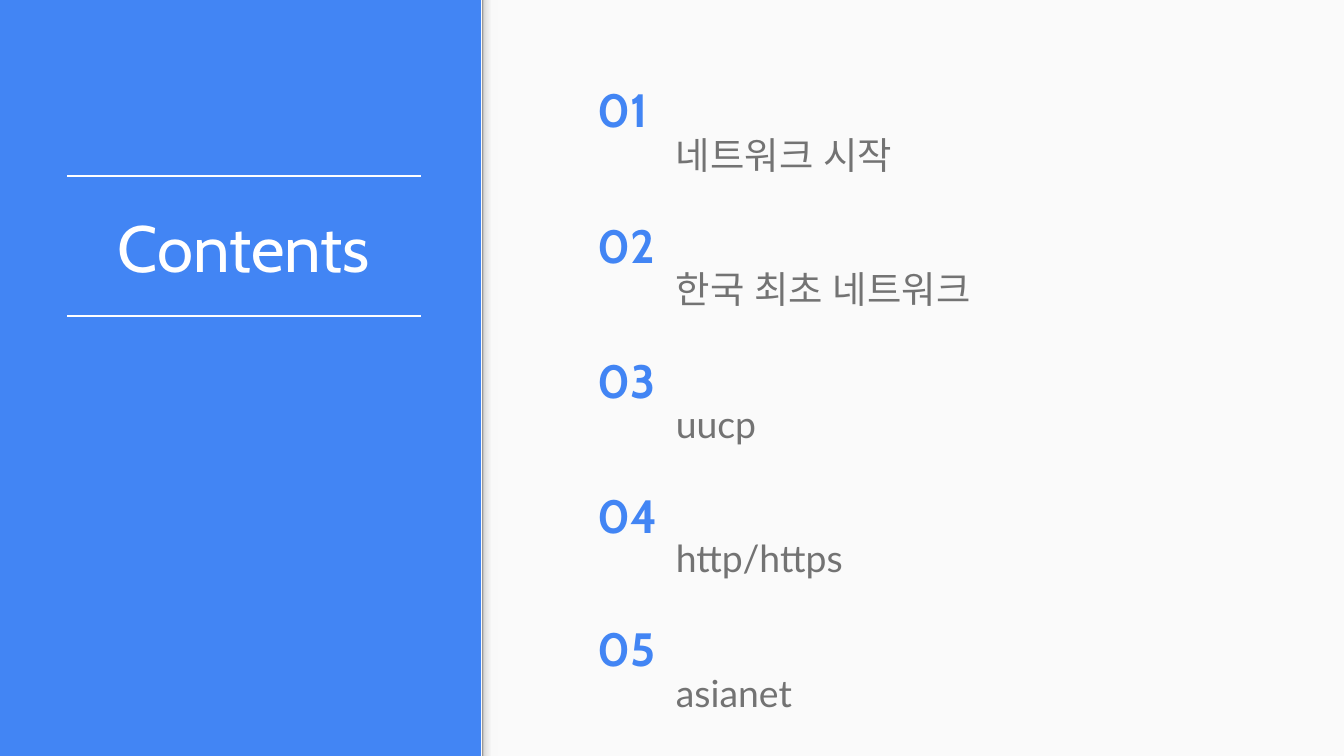
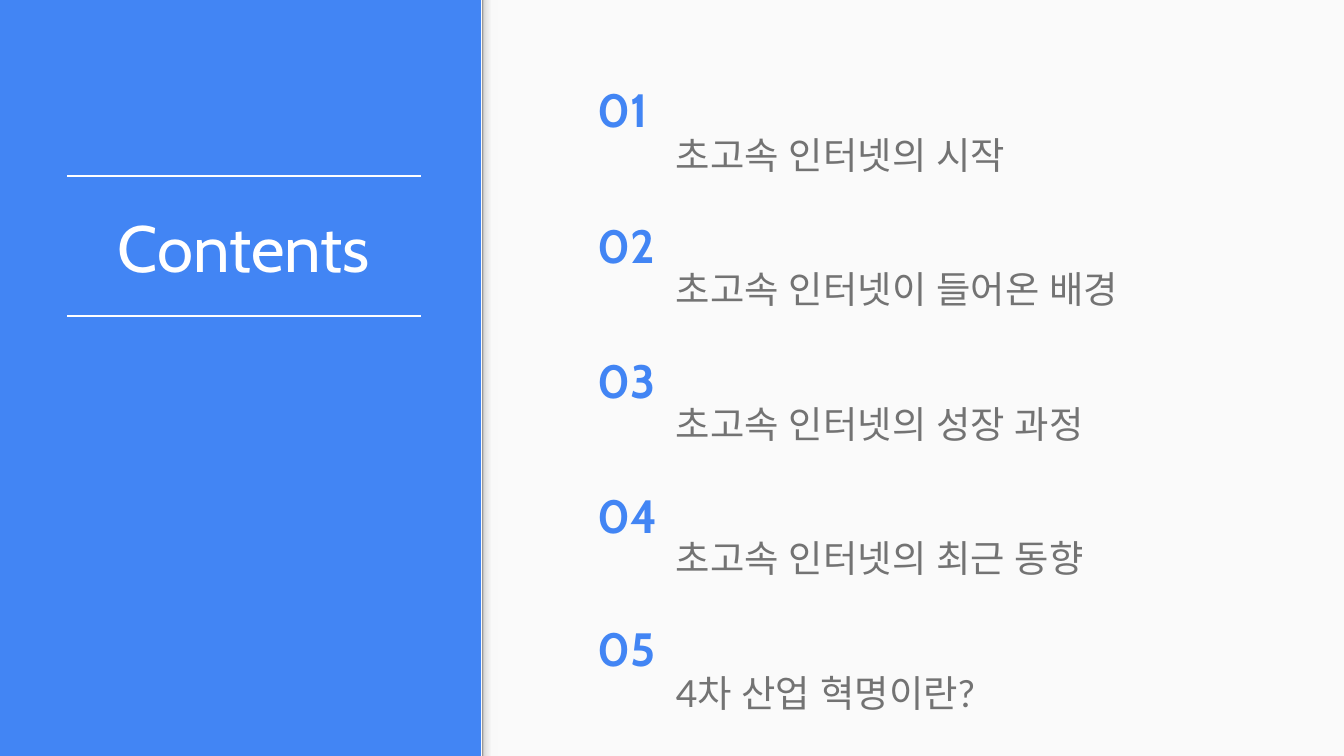
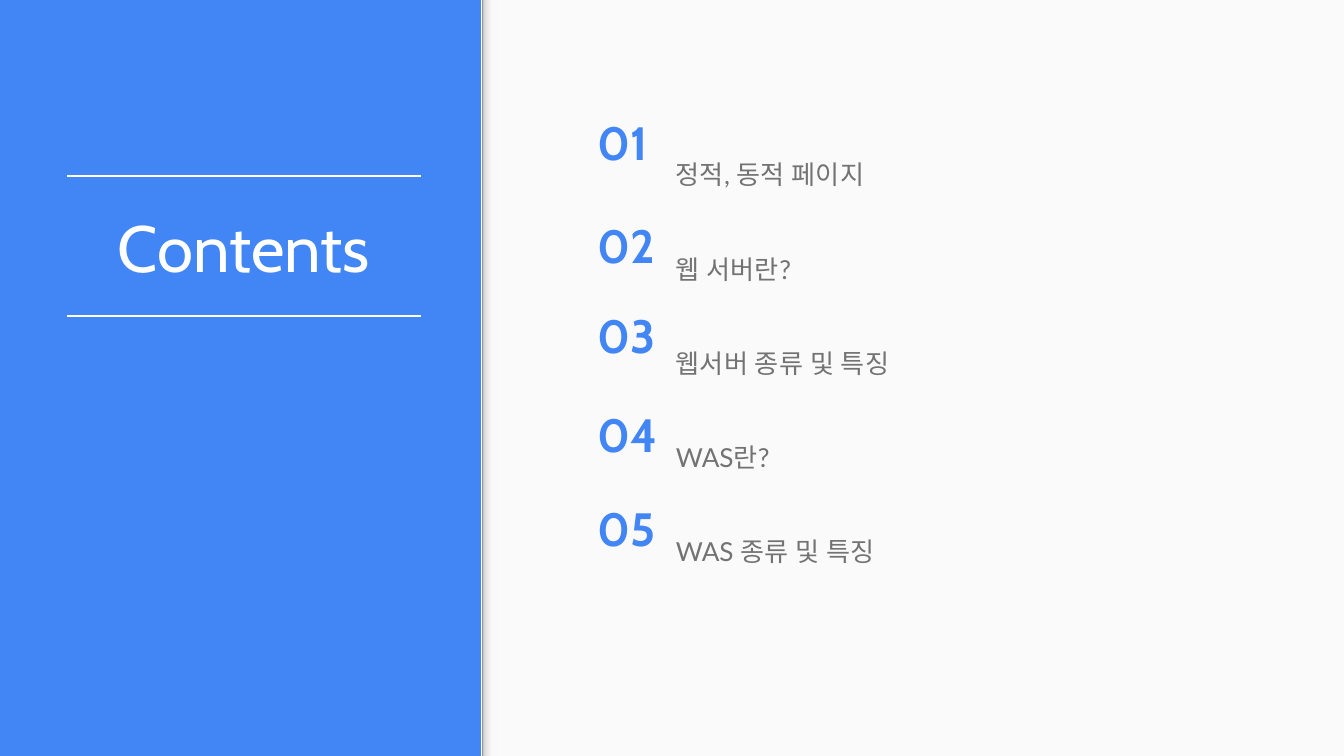
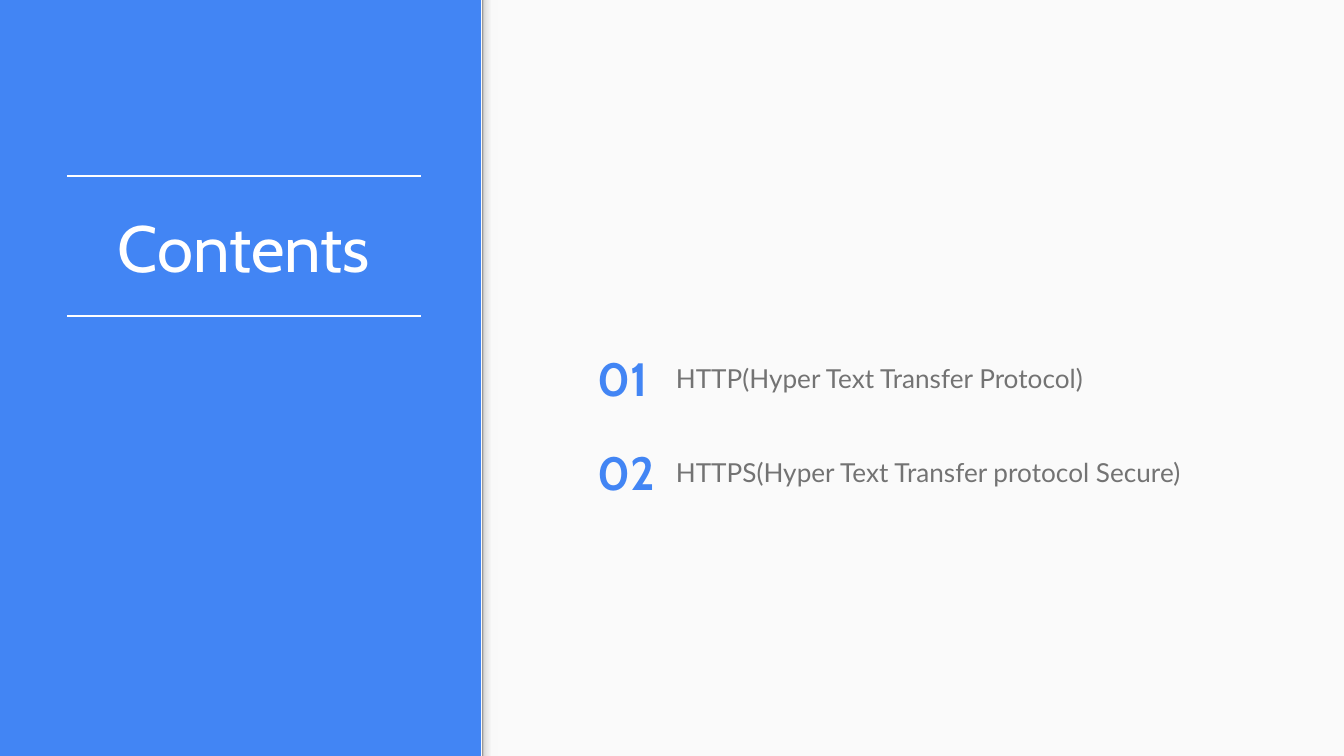
from dataclasses import dataclass

from pptx import Presentation
from pptx.dml.color import RGBColor as Rgb
from pptx.enum.shapes import MSO_CONNECTOR as Link, MSO_SHAPE as Form
from pptx.enum.text import MSO_ANCHOR as Anchor, MSO_AUTO_SIZE as Fit, PP_ALIGN as Align
from pptx.oxml.ns import qn
from pptx.oxml.xmlchemy import OxmlElement as Node
from pptx.util import Inches, Pt


@dataclass(frozen=True)
class Theme:
    """Colours, fonts, type sizes and slide size."""
    blue: str = "4285F4"
    white: str = "FFFFFF"
    paper: str = "FAFAFA"
    gray: str = "737373"
    shade: tuple = ((0, "F9F9F9"), (36, "F9F9F9"), (80, "DEDEDE"), (100, "999999"))
    head: str = "Cabin"
    body: str = "Lato"
    title: int = 35
    num: int = 25
    large: int = 20
    small: int = 14
    wide: float = 10
    high: float = 10 * 9 / 16
    edge: float = 3.58


T = Theme()
RULES = (1.31, 2.35)
WIDE_TOPS = (0.5, 1.51, 2.52, 3.52, 4.51)
SLIDES = (
    (T.large, (0.44, 4.75), WIDE_TOPS,
     ("네트워크 시작", "한국 최초 네트워크", "uucp", "http/https", "asianet")),
    (T.large, (0.44, 4.75), WIDE_TOPS,
     ("초고속 인터넷의 시작", "초고속 인터넷이 들어온 배경", "초고속 인터넷의 성장 과정",
      "초고속 인터넷의 최근 동향", "4차 산업 혁명이란?")),
    (T.small, (0.44, 4.05), (0.75, 1.51, 2.18, 2.92, 3.62),
     ("정적, 동적 페이지", "웹 서버란?", "웹서버 종류 및 특징", "WAS란?", "WAS 종류 및 특징")),
    (T.small, (0.67, 4.52), (2.5, 3.2),
     ("HTTP(Hyper Text Transfer Protocol)", "HTTPS(Hyper Text Transfer protocol Secure)")),
)


def box(*lens):
    """Turn lengths in inches into slide units."""
    return [Inches(n) for n in lens]


def style(run, font, size, color, bold):
    """Format a run, with one font for Latin and Korean."""
    run.font.name, run.font.size = font, Pt(size)
    run.font.bold = bold
    run.font.color.rgb = Rgb.from_string(color)
    east = Node("a:ea")
    east.set("typeface", font)
    run.font.element.append(east) if hasattr(run.font, "element") else run._r.get_or_add_rPr().append(east)


def write(shape, text, font, size, color, bold=False, align=Align.LEFT, gap=None):
    """Put styled text into a shape with even insets."""
    frame = shape.text_frame
    frame.text = text
    frame.word_wrap = True
    frame.auto_size = Fit.NONE
    frame.margin_left = frame.margin_right = Inches(0.1)
    frame.margin_top = frame.margin_bottom = Inches(0.1)
    for para in frame.paragraphs:
        para.alignment = align
        para.line_spacing = gap
        for run in para.runs:
            style(run, font, size, color, bold)
    return frame


def add_rect(slide, *place):
    """Add a rectangle with no line or shadow."""
    rect = slide.shapes.add_shape(Form.RECTANGLE, *box(*place))
    rect.shadow.inherit = False
    rect.line.fill.background()
    return rect


def add_panel(slide):
    """Add the light panel and the shade along its left edge."""
    panel = add_rect(slide, T.edge, 0, T.wide - T.edge, T.high)
    panel.fill.solid()
    panel.fill.fore_color.rgb = Rgb.from_string(T.paper)
    band = add_rect(slide, 0.83, 2.75, T.high, 0.12)
    band.rotation = 270
    band.fill.gradient()
    band.fill.gradient_angle = 90
    stops = band.element.spPr.find(".//" + qn("a:gsLst"))
    for old in list(stops):
        stops.remove(old)
    for pos, color in T.shade:
        stop, tint = Node("a:gs"), Node("a:srgbClr")
        stop.set("pos", str(pos * 1000))
        tint.set("val", color)
        stop.append(tint)
        stops.append(stop)


def add_title(slide, text):
    """Set the title between two thin rules."""
    title = slide.shapes.title
    top, low = RULES
    title.left, title.top, title.width, title.height = box(0.28, top, 3.07, low - top)
    frame = write(title, text, T.head, T.title, T.white, align=Align.CENTER)
    frame.vertical_anchor = Anchor.MIDDLE
    for y in RULES:
        rule = slide.shapes.add_connector(Link.STRAIGHT, *box(0.5, y, 3.13, y))
        rule.line.color.rgb = Rgb.from_string(T.white)
        rule.line.width = Pt(0.75)
        rule.element.spPr.append(Node("a:effectLst"))


def add_items(slide, items, size, span):
    """Add the list of topics."""
    top, high = span
    area = slide.shapes.add_textbox(*box(4.93, top, 4.75, high))
    frame = write(area, "\n".join(items), T.body, size, T.gray, gap=3.0)
    frame.vertical_anchor = Anchor.MIDDLE


def add_nums(slide, tops):
    """Number the topics at the given heights."""
    for num, top in enumerate(tops, 1):
        label = slide.shapes.add_textbox(*box(4.35, top, 0.66, 0.62))
        frame = write(label, f"{num:02}", T.head, T.num, T.blue, bold=True)
        frame.auto_size = Fit.SHAPE_TO_FIT_TEXT


def main():
    """Build the contents slides and save them."""
    deck = Presentation()
    deck.slide_width, deck.slide_height = box(T.wide, T.high)
    back = deck.slide_master.background.fill
    back.solid()
    back.fore_color.rgb = Rgb.from_string(T.blue)
    for size, span, tops, items in SLIDES:
        slide = deck.slides.add_slide(deck.slide_layouts[5])
        add_panel(slide)
        add_title(slide, "Contents")
        add_items(slide, items, size, span)
        add_nums(slide, tops)
    deck.save("out.pptx")


if __name__ == "__main__":
    main()
